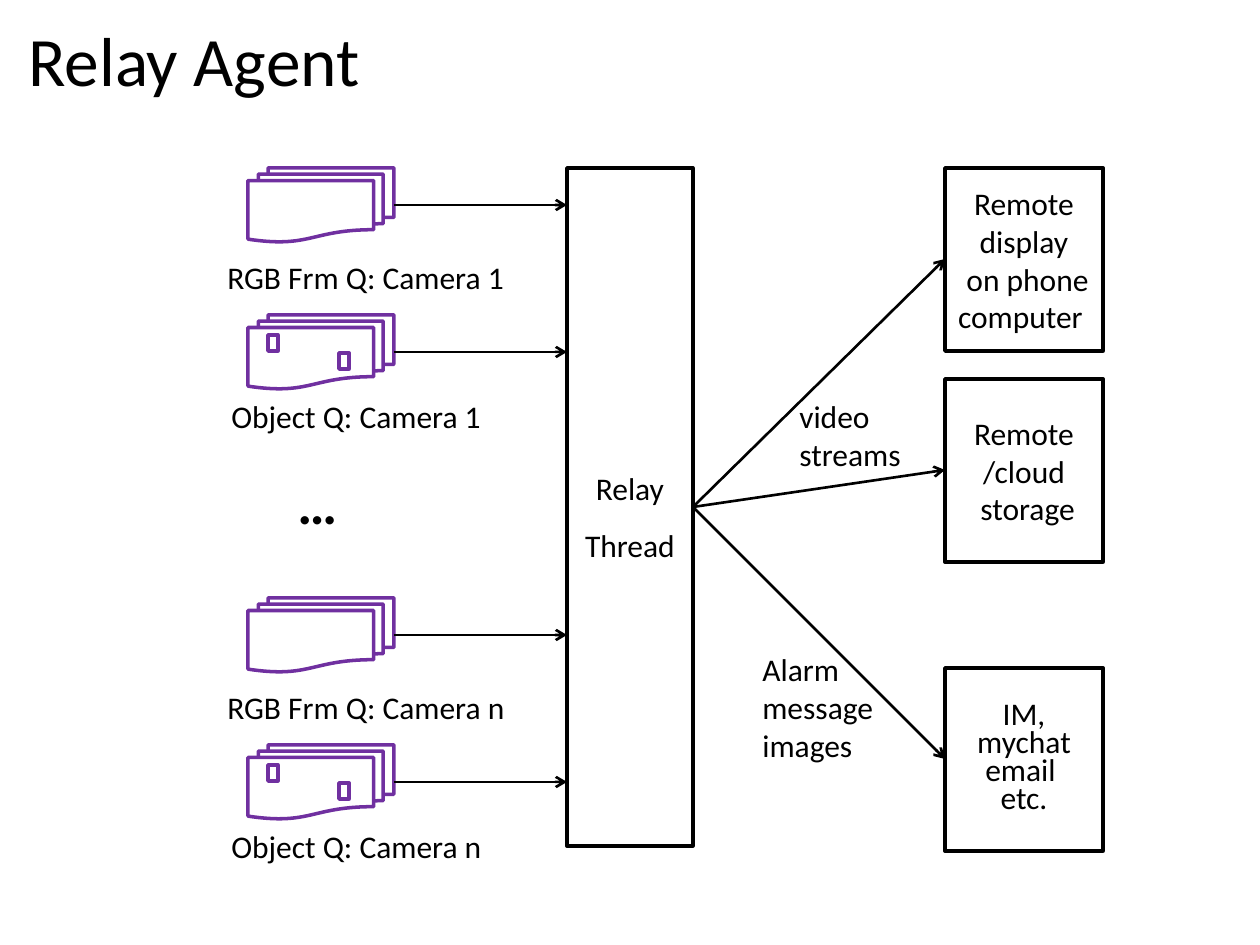
"""Build the Relay Agent slide: camera queues, relay thread and remote outputs."""
from dataclasses import dataclass

import pptx
import pptx.dml.color
import pptx.enum.shapes
import pptx.enum.text
import pptx.oxml.ns
import pptx.util
from lxml import etree

PX = 914400 // 126
COLORS = {"ink": "000000", "queue": "7030A0"}
SHAPE = pptx.enum.shapes.MSO_SHAPE
ALIGN = pptx.enum.text.PP_ALIGN
ANCHOR = pptx.enum.text.MSO_ANCHOR
Pt = pptx.util.Pt


@dataclass
class Label:
    x: int
    y: int
    w: int
    h: int
    lines: tuple
    size: float = 18
    bold: bool = False
    wrap: bool = False
    anchor: ANCHOR = ANCHOR.TOP


@dataclass
class Box:
    x: int
    y: int
    w: int
    h: int
    lines: tuple = ()
    spacing: object = None
    kind: SHAPE = SHAPE.RECTANGLE
    color: str = "ink"


@dataclass
class Arrow:
    x1: int
    y1: int
    x2: int
    y2: int


def rgb(name: str) -> pptx.dml.color.RGBColor:
    return pptx.dml.color.RGBColor.from_string(COLORS[name])


def write(tf, lines: tuple, size: float, bold: bool, frame: dict, para: dict) -> None:
    for key, value in frame.items():
        setattr(tf, key, value)
    for i, line in enumerate(lines):
        p = tf.paragraphs[0] if i == 0 else tf.add_paragraph()
        for key, value in para.items():
            setattr(p, key, value)
        r = p.add_run()
        r.text = line
        for key, value in {"name": "Calibri", "size": Pt(size), "bold": bold}.items():
            setattr(r.font, key, value)
        r.font.color.rgb = rgb("ink")


def add_label(s, label: Label) -> None:
    sp = s.shapes.add_textbox(*(v * PX for v in (label.x, label.y, label.w, label.h)))
    frame = {"word_wrap": label.wrap, "vertical_anchor": label.anchor}
    write(sp.text_frame, label.lines, label.size, label.bold, frame, {"alignment": ALIGN.LEFT})


def add_box(s, box: Box) -> None:
    sp = s.shapes.add_shape(box.kind, *(v * PX for v in (box.x, box.y, box.w, box.h)))
    sp.shadow.inherit = False
    sp.fill.background()
    sp.line.color.rgb = rgb(box.color)
    sp.line.width = Pt(2)
    frame = {"word_wrap": True, "vertical_anchor": ANCHOR.MIDDLE}
    para = {"alignment": ALIGN.CENTER, "line_spacing": box.spacing}
    write(sp.text_frame, box.lines, 18, False, frame, para)


def add_arrow(s, arrow: Arrow) -> None:
    ends = (v * PX for v in (arrow.x1, arrow.y1, arrow.x2, arrow.y2))
    sp = s.shapes.add_connector(pptx.enum.shapes.MSO_CONNECTOR.STRAIGHT, *ends)
    sp.line.color.rgb = rgb("ink")
    sp.line.width = Pt(1.5)
    qn = pptx.oxml.ns.qn
    etree.SubElement(sp.line._get_or_add_ln(), qn("a:tailEnd"), type="arrow")
    etree.SubElement(sp._element.spPr, qn("a:effectLst"))


def add_camera(s, top: int, name: str) -> None:
    for y in (top, top + 147):
        add_box(s, Box(248, y, 146, 74, kind=SHAPE.FLOWCHART_MULTIDOCUMENT, color="queue"))
        add_arrow(s, Arrow(394, y + 37, THREAD.x, y + 37))
    for x, y in ((268, top + 167), (339, top + 185)):
        add_box(s, Box(x, y, 10, 16, color="queue"))
    add_label(s, Label(215, top + 84, 306, 89, (f"RGB Frm Q: Camera {name}",)))
    add_label(s, Label(219, top + 223, 278, 50, (f"Object Q: Camera {name}",)))


THREAD = Box(567, 168, 126, 678, ("Relay Thread",), 1.5)
OUTPUTS = (
    Box(945, 168, 158, 183, ("Remote display", " on phone computer ")),
    Box(945, 379, 158, 183, ("Remote /cloud", " storage")),
    Box(945, 668, 158, 183, ("IM,", "mychat", "email ", "etc."), Pt(16)),
)
LABELS = (
    Label(16, 10, 1134, 98, ("Relay Agent",), 39.6, wrap=True, anchor=ANCHOR.MIDDLE),
    Label(285, 462, 55, 81, ("…",), 32, bold=True, wrap=True),
    Label(787, 391, 127, 89, ("video ", "streams")),
    Label(750, 644, 137, 127, ("Alarm ", "message", "images")),
)

prs = pptx.Presentation()
prs.slide_width, prs.slide_height = 1260 * PX, 945 * PX
s = prs.slides.add_slide(prs.slide_layouts[6])
add_box(s, THREAD)
for top, name in ((168, "1"), (598, "n")):
    add_camera(s, top, name)
for box in OUTPUTS:
    add_box(s, box)
    add_arrow(s, Arrow(THREAD.x + THREAD.w, THREAD.y + THREAD.h // 2, box.x, box.y + box.h // 2))
for label in LABELS:
    add_label(s, label)
prs.save("out.pptx")
